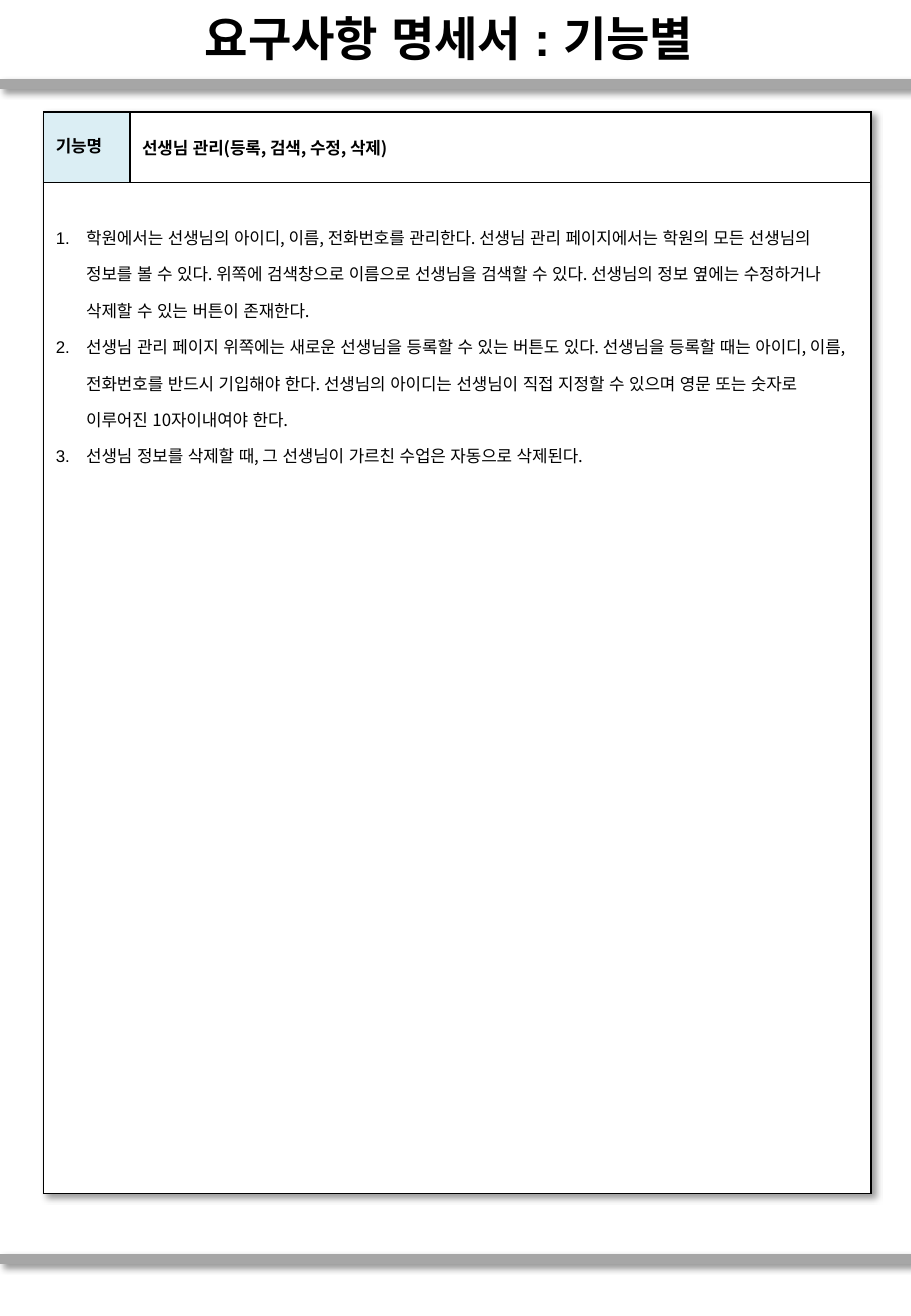
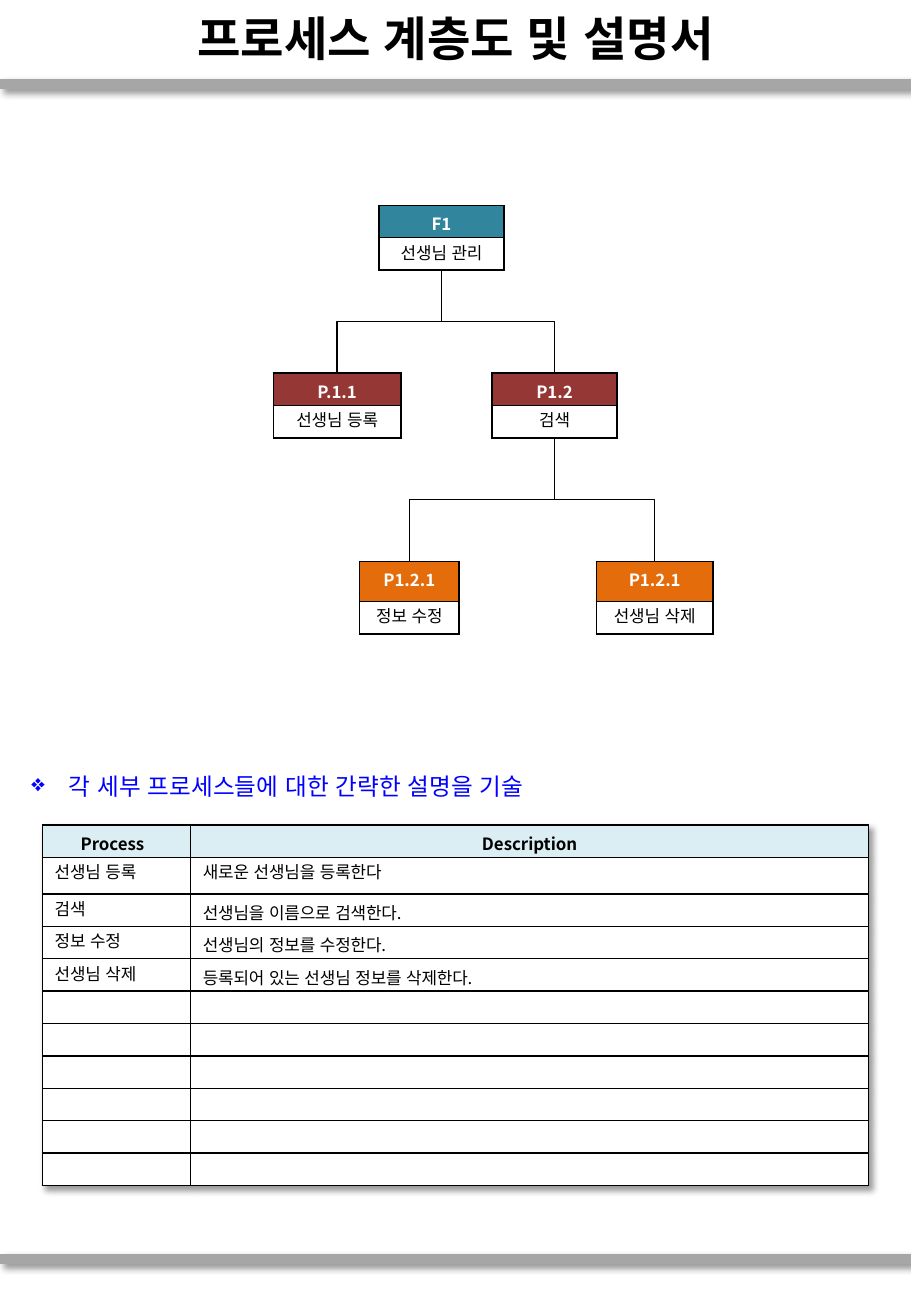
from dataclasses import dataclass

from lxml.etree import SubElement
from pptx import Presentation
from pptx.dml.color import RGBColor
from pptx.enum.shapes import MSO_CONNECTOR as Connector
from pptx.enum.text import MSO_ANCHOR as Anchor, PP_ALIGN as Align
from pptx.oxml import parse_xml
from pptx.oxml.ns import nsdecls, qn
from pptx.util import Inches, Pt


# Theme
@dataclass(frozen=True)
class Theme:
    width: float = 7.5
    height: float = 10.83
    font: str = "Noto Sans CJK KR"
    east_asian: str = "Arial"
    title_latin: str = "Arial"
    bullet_font: str = "OpenSymbol"
    black: str = "000000"
    white: str = "FFFFFF"
    band: str = "A6A6A6"
    header: str = "DBEEF4"
    blue: str = "0000FF"
    teal: str = "31859C"
    red: str = "953735"
    orange: str = "E46C0A"
    title_size: int = 28
    note_size: int = 14
    body_size: int = 10


THEME = Theme()
BAND_TOPS = (0.69, 10.36)
ROW = 0.8 / 3

# Content
SPEC_TITLE = "요구사항 명세서 : 기능별 "
SPEC_HEADER = ("기능명", "선생님 관리(등록, 검색, 수정, 삭제)")
REQUIREMENTS = [
    "학원에서는 선생님의 아이디, 이름, 전화번호를 관리한다. 선생님 관리 페이지에서는 "
    "학원의 모든 선생님의 정보를 볼 수 있다. 위쪽에 검색창으로 이름으로 선생님을 검색할 수 있다. "
    "선생님의 정보 옆에는 수정하거나 삭제할 수 있는 버튼이 존재한다.",
    "선생님 관리 페이지 위쪽에는 새로운 선생님을 등록할 수 있는 버튼도 있다. 선생님을 등록할 때는 "
    "아이디, 이름, 전화번호를 반드시 기입해야 한다. 선생님의 아이디는 선생님이 직접 지정할 수 있으며 "
    "영문 또는 숫자로 이루어진 10자이내여야 한다.",
    "선생님 정보를 삭제할 때, 그 선생님이 가르친 수업은 자동으로 삭제된다.",
]

PROCESS_TITLE = "프로세스 계층도 및 설명서"
PROCESS_NOTE = "각 세부 프로세스들에 대한 간략한 설명을 기술"
PROCESS_HEADER = ("Process", "Description")
PROCESSES = [
    ("선생님 등록", "새로운 선생님을 등록한다"),
    ("검색", "선생님을 이름으로 검색한다."),
    ("정보 수정", "선생님의 정보를 수정한다."),
    ("선생님 삭제", "등록되어 있는 선생님 정보를 삭제한다."),
]
EMPTY_ROWS = 6

# Tree levels: top, header height, colour
LEVELS = [
    (1.69, ROW, THEME.teal),
    (3.07, ROW, THEME.red),
    (4.62, 0.33, THEME.orange),
]
# Tree nodes: name -> code, level, left, width, parent
NODES = {
    "선생님 관리": ("F1", 0, 3.12, 1.03, None),
    "선생님 등록": ("P.1.1", 1, 2.25, 1.05, "선생님 관리"),
    "검색": ("P1.2", 1, 4.05, 1.03, "선생님 관리"),
    "정보 수정": ("P1.2.1", 2, 2.96, 0.82, "검색"),
    "선생님 삭제": ("P1.2.1", 2, 4.91, 0.96, "검색"),
}


# Shared helpers
def rgb(value):
    return RGBColor.from_string(value)


def shadow_effect():
    return parse_xml(
        f'<a:effectLst {nsdecls("a")}><a:outerShdw blurRad="{Pt(4)}" dist="{Pt(3)}" '
        f'dir="2700000" algn="tl" rotWithShape="0"><a:srgbClr val="{THEME.black}">'
        '<a:alpha val="40000"/></a:srgbClr></a:outerShdw></a:effectLst>')


def add_text(para, text, size=THEME.body_size, color=THEME.black, bold=False,
             latin=THEME.font):
    span = para.add_run()
    span.text = text
    font = span.font
    font.size, font.bold, font.name = Pt(size), bold, latin
    font.color.rgb = rgb(color)
    SubElement(font._element, qn("a:ea"), typeface=THEME.east_asian)


def set_bullet(para, indent, tag, typeface=None, **attributes):
    props = para._p.get_or_add_pPr()
    props.set("marL", str(Inches(indent)))
    props.set("indent", str(-Inches(indent)))
    if typeface:
        SubElement(props, qn("a:buFont"), typeface=typeface)
    SubElement(props, qn(tag), **attributes)


def add_box(page, left, top, width, height):
    box = page.shapes.add_textbox(*map(Inches, (left, top, width, height)))
    box.text_frame.word_wrap = True
    return box.text_frame


def add_line(page, kind, points, color, weight, effect=None):
    line = page.shapes.add_connector(kind, *map(Inches, points))
    line.line.color.rgb = rgb(color)
    line.line.width = Pt(weight)
    props = line._element.spPr
    if effect is None:
        SubElement(props, qn("a:effectLst"))
    else:
        props.append(effect)
    return line


def add_grid(page, left, top, widths, heights, shadow=False):
    frame = page.shapes.add_table(
        len(heights), len(widths),
        *map(Inches, (left, top, sum(widths), sum(heights))))
    table = frame.table
    table.first_row = table.horz_banding = False
    for column, width in zip(table.columns, widths):
        column.width = Inches(width)
    for row, height in zip(table.rows, heights):
        row.height = Inches(height)
    for cell in table.iter_cells():
        props = cell._tc.get_or_add_tcPr()
        for side in ("a:lnL", "a:lnR", "a:lnT", "a:lnB"):
            edge = SubElement(props, qn(side), w=str(Pt(1)))
            fill = SubElement(edge, qn("a:solidFill"))
            SubElement(fill, qn("a:srgbClr"), val=THEME.black)
        cell.margin_bottom = Inches(0.01)
        fill_cell(cell, THEME.white)
    if shadow:
        table._tbl.tblPr.insert(0, shadow_effect())
    return table


def fill_cell(cell, color):
    cell.fill.solid()
    cell.fill.fore_color.rgb = rgb(color)


def write_cell(cell, text, align=Align.LEFT, **style):
    para = cell.text_frame.paragraphs[0]
    para.alignment = align
    add_text(para, text, **style)


def add_page(deck, title, latin=THEME.font):
    page = deck.slides.add_slide(deck.slide_layouts[6])
    for top in BAND_TOPS:
        add_line(page, Connector.STRAIGHT, (0, top, THEME.width, top),
                 THEME.band, 6, shadow_effect())
    frame = add_box(page, 0, 0.01, THEME.width, 0.6)
    frame.vertical_anchor = Anchor.MIDDLE
    para = frame.paragraphs[0]
    para.alignment = Align.CENTER
    add_text(para, title, THEME.title_size, bold=True, latin=latin)
    return page


# Requirement page
def build_requirements(deck):
    page = add_page(deck, SPEC_TITLE, THEME.title_latin)
    table = add_grid(page, 0.36, 0.92, (0.71, 6.1), (0.58, 8.32), shadow=True)
    for column, text in enumerate(SPEC_HEADER):
        cell = table.cell(0, column)
        cell.vertical_anchor = Anchor.MIDDLE
        cell.margin_bottom = cell.margin_top
        write_cell(cell, text, bold=True)
    fill_cell(table.cell(0, 0), THEME.header)

    body = table.cell(1, 0)
    body.merge(table.cell(1, 1))
    body.margin_top = Inches(0.25)
    frame = body.text_frame
    for index, text in enumerate(REQUIREMENTS):
        para = frame.add_paragraph() if index else frame.paragraphs[0]
        para.line_spacing = 1.5
        set_bullet(para, 0.25, "a:buAutoNum", type="arabicPeriod")
        add_text(para, text)


# Process page
def add_node(page, name):
    code, level, left, width, _ = NODES[name]
    top, header, color = LEVELS[level]
    table = add_grid(page, left, top, (width,), (header, ROW))
    fill_cell(table.cell(0, 0), color)
    write_cell(table.cell(0, 0), code, Align.CENTER, color=THEME.white, bold=True)
    write_cell(table.cell(1, 0), name, Align.CENTER)


def add_branch(page, name):
    _, level, left, width, parent = NODES[name]
    _, parent_level, parent_left, parent_width, _ = NODES[parent]
    parent_top, parent_header, _ = LEVELS[parent_level]
    start_x, start_y = parent_left + parent_width / 2, parent_top + parent_header + ROW
    end_x, end_y = left + width / 2, LEVELS[level][0]
    # A quarter turn makes the elbow leave its parent downwards
    mid_x, mid_y = (start_x + end_x) / 2, (start_y + end_y) / 2
    half_drop, half_run = (end_y - start_y) / 2, abs(end_x - start_x) / 2
    side = 1 if end_x > start_x else -1
    line = add_line(page, Connector.ELBOW,
                    (mid_x + side * half_drop, mid_y - half_run,
                     mid_x - side * half_drop, mid_y + half_run),
                    THEME.black, 0.75)
    turn = 270 if side > 0 else 90
    line._element.spPr.find(qn("a:xfrm")).set("rot", str(turn * 60000))


def build_processes(deck):
    page = add_page(deck, PROCESS_TITLE)
    for name, node in NODES.items():
        add_node(page, name)
        if node[-1]:
            add_branch(page, name)

    para = add_box(page, 0.16, 6.3, 6.14, 0.34).paragraphs[0]
    set_bullet(para, 0.31, "a:buChar", THEME.bullet_font, char="❖")
    add_text(para, PROCESS_NOTE, THEME.note_size, THEME.blue)

    heights = [ROW, 0.3] + [ROW] * (len(PROCESSES) - 1 + EMPTY_ROWS)
    table = add_grid(page, 0.35, 6.79, (1.22, 5.58), heights, shadow=True)
    for column, text in enumerate(PROCESS_HEADER):
        fill_cell(table.cell(0, column), THEME.header)
        write_cell(table.cell(0, column), text, Align.CENTER, bold=True)
    table.cell(0, 0).margin_right = Inches(0.17)
    for row, texts in enumerate(PROCESSES, 1):
        for column, text in enumerate(texts):
            write_cell(table.cell(row, column), text)
    for cell in table.iter_cells():
        if not cell.text:
            SubElement(cell.text_frame.paragraphs[0]._p, qn("a:endParaRPr"),
                       sz=str(THEME.body_size * 100))


def main():
    deck = Presentation()
    deck.slide_width = Inches(THEME.width)
    deck.slide_height = Inches(THEME.height)
    build_requirements(deck)
    build_processes(deck)
    deck.save("out.pptx")


if __name__ == "__main__":
    main()
